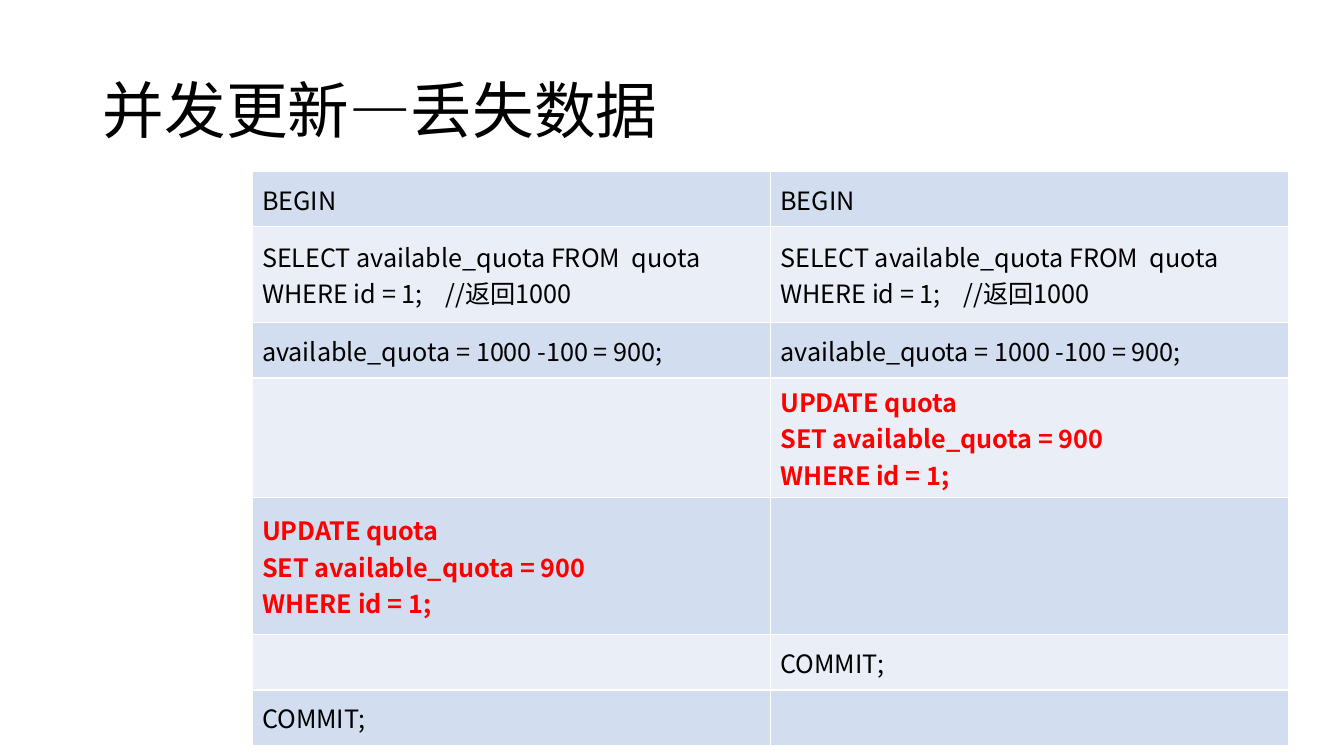
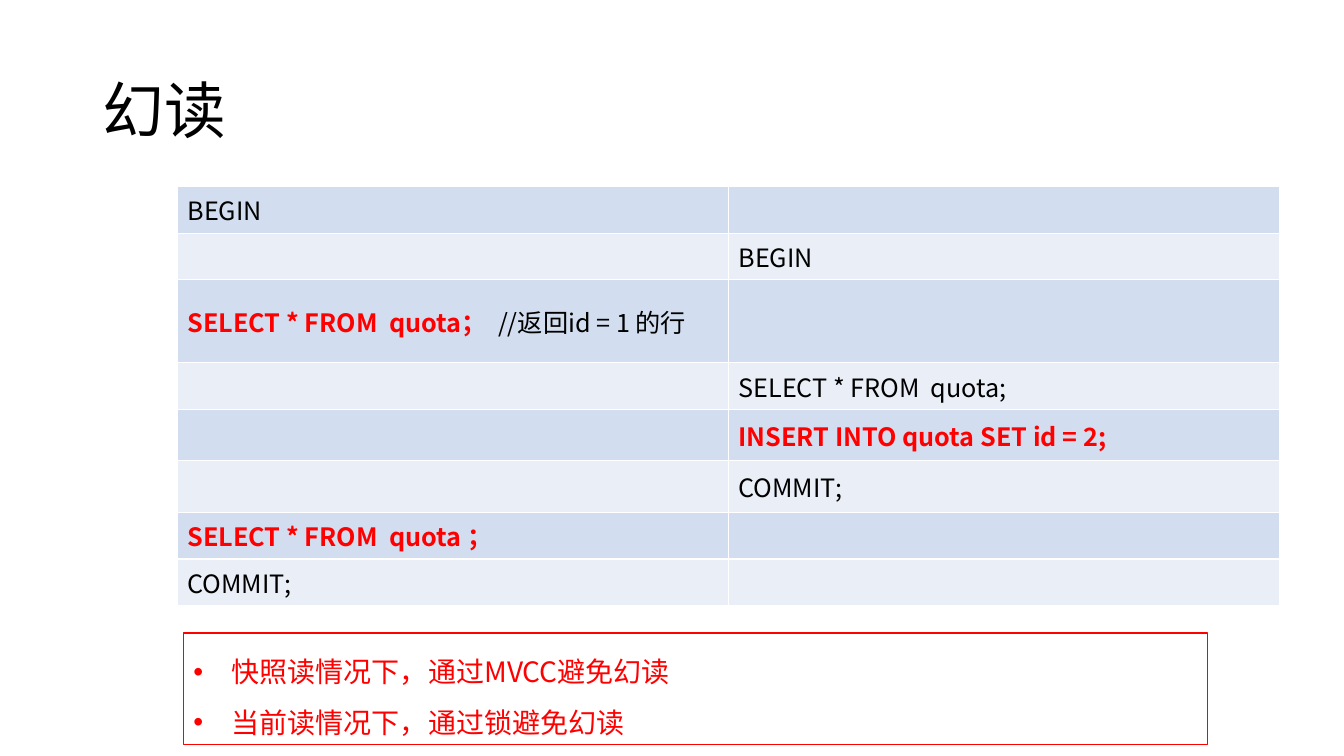
import pptx
import pptx.util
import pptx.dml.color
import pptx.enum.shapes
import pptx.enum.text
import pptx.oxml
import pptx.oxml.ns
from lxml import etree

RGBColor = pptx.dml.color.RGBColor
BLACK = RGBColor(0x00, 0x00, 0x00)
RED = RGBColor(0xFF, 0x00, 0x00)
WHITE = RGBColor(0xFF, 0xFF, 0xFF)
BANDS = (RGBColor(0xD2, 0xDE, 0xEF), RGBColor(0xEA, 0xEF, 0xF7))
FONT = "Noto Sans CJK SC"
SLIDE_WIDTH = pptx.util.Inches(13.33)
SLIDE_HEIGHT = pptx.util.Inches(7.5)
TITLE_ONLY = 5

# Boxes: left, top, width, height in percent of the slide
TITLE_BOX = (6.9, 5.33, 86.27, 19.33)
LOST_UPDATE_BOX = (18.75, 22.67, 77.12, 75.33)
PHANTOM_BOX = (13.2, 24.67, 82, 55.07)
REMEDY_BOX = (13.65, 83.73, 76.22, 14.8)


def plain(text):
    return [[(text, False)]]


def key(*lines):
    return [[(line, True)] for line in lines]


# Statements of the two sessions: row height share, left cell, right cell
BEGIN = plain("BEGIN")
COMMIT = plain("COMMIT;")
READ_QUOTA = plain("SELECT available_quota FROM  quota  WHERE id = 1;    //返回1000")
SUBTRACT = plain("available_quota = 1000 -100 = 900;")
UPDATE = key("UPDATE quota", "SET available_quota = 900", "WHERE id = 1;")
FIRST_READ = [[("SELECT * FROM  quota；  ", True), ("//返回id = 1 的行", False)]]

LOST_UPDATE_STEPS = [
    (0.55, BEGIN, BEGIN),
    (0.95, READ_QUOTA, READ_QUOTA),
    (0.55, SUBTRACT, SUBTRACT),
    (1.14, None, UPDATE),
    (1.36, UPDATE, None),
    (0.55, None, COMMIT),
    (0.55, COMMIT, None),
]
PHANTOM_STEPS = [
    (0.46, BEGIN, None),
    (0.46, None, BEGIN),
    (0.8, FIRST_READ, None),
    (0.46, None, plain("SELECT * FROM  quota;")),
    (0.51, None, key("INSERT INTO quota SET id = 2;")),
    (0.51, None, COMMIT),
    (0.46, key("SELECT * FROM  quota ；"), None),
    (0.46, COMMIT, None),
]
REMEDIES = ["快照读情况下，通过MVCC避免幻读", "当前读情况下，通过锁避免幻读"]


def to_slide(box):
    left, top, width, height = box
    return (int(SLIDE_WIDTH * left / 100), int(SLIDE_HEIGHT * top / 100),
            int(SLIDE_WIDTH * width / 100), int(SLIDE_HEIGHT * height / 100))


def style_run(run, size, color=BLACK, bold=False):
    run.font.size = pptx.util.Pt(size)
    run.font.bold = bold
    run.font.color.rgb = color
    run.font.name = FONT
    east_asian = etree.Element(pptx.oxml.ns.qn("a:ea"), typeface=FONT)
    run.font._element.find(pptx.oxml.ns.qn("a:latin")).addnext(east_asian)


def add_title(slide, text):
    title = slide.shapes.title
    title.left, title.top, title.width, title.height = to_slide(TITLE_BOX)
    frame = title.text_frame
    frame.text = text
    frame.vertical_anchor = pptx.enum.text.MSO_ANCHOR.MIDDLE
    paragraph = frame.paragraphs[0]
    paragraph.alignment = pptx.enum.text.PP_ALIGN.LEFT
    paragraph.line_spacing = 0.9
    style_run(paragraph.runs[0], 44)


def add_borders(cell):
    properties = cell._tc.get_or_add_tcPr()
    for side in ("lnL", "lnR", "lnT", "lnB"):
        properties.append(pptx.oxml.parse_xml(
            f'<a:{side} {pptx.oxml.ns.nsdecls("a")} w="12700"><a:solidFill>'
            f'<a:srgbClr val="{WHITE}"/></a:solidFill></a:{side}>'))


def fill_cell(cell, lines, band):
    add_borders(cell)
    cell.fill.solid()
    cell.fill.fore_color.rgb = band
    cell.vertical_anchor = pptx.enum.text.MSO_ANCHOR.MIDDLE
    if not lines:
        return
    frame = cell.text_frame
    for index, pieces in enumerate(lines):
        paragraph = frame.add_paragraph() if index else frame.paragraphs[0]
        for text, is_key in pieces:
            run = paragraph.add_run()
            run.text = text
            style_run(run, 18, RED if is_key else BLACK, is_key)


def add_timeline(slide, box, steps):
    left, top, width, height = to_slide(box)
    timeline = slide.shapes.add_table(len(steps), 2, left, top, width, height).table
    timeline.first_row = False
    timeline.horz_banding = False
    total = sum(share for share, *_ in steps)
    for row, (share, *sessions) in enumerate(steps):
        timeline.rows[row].height = int(height * share / total)
        for column, lines in enumerate(sessions):
            fill_cell(timeline.cell(row, column), lines, BANDS[row % 2])


def add_bullet(paragraph):
    properties = paragraph._p.get_or_add_pPr()
    indent = pptx.util.Inches(0.38)
    properties.set("marL", str(indent))
    properties.set("indent", str(-indent))
    etree.SubElement(properties, pptx.oxml.ns.qn("a:buFont"), typeface="Arial")
    etree.SubElement(properties, pptx.oxml.ns.qn("a:buChar"), char="•")


def add_remedies(slide, box, remedies):
    panel = slide.shapes.add_shape(
        pptx.enum.shapes.MSO_SHAPE.RECTANGLE, *to_slide(box))
    panel.shadow.inherit = False
    panel.fill.background()
    panel.line.color.rgb = RED
    panel.line.width = pptx.util.Pt(0.75)
    frame = panel.text_frame
    frame.word_wrap = True
    frame.auto_size = pptx.enum.text.MSO_AUTO_SIZE.SHAPE_TO_FIT_TEXT
    frame.vertical_anchor = pptx.enum.text.MSO_ANCHOR.TOP
    frame.text = "\n".join(remedies)
    for paragraph in frame.paragraphs:
        add_bullet(paragraph)
        paragraph.alignment = pptx.enum.text.PP_ALIGN.LEFT
        paragraph.line_spacing = 1.5
        style_run(paragraph.runs[0], 20, RED)


def add_session_slide(deck, title, box, steps):
    slide = deck.slides.add_slide(deck.slide_layouts[TITLE_ONLY])
    add_title(slide, title)
    add_timeline(slide, box, steps)
    return slide


def main():
    deck = pptx.Presentation()
    deck.slide_width = SLIDE_WIDTH
    deck.slide_height = SLIDE_HEIGHT
    add_session_slide(deck, "并发更新—丢失数据", LOST_UPDATE_BOX, LOST_UPDATE_STEPS)
    phantom = add_session_slide(deck, "幻读", PHANTOM_BOX, PHANTOM_STEPS)
    add_remedies(phantom, REMEDY_BOX, REMEDIES)
    deck.save("out.pptx")


if __name__ == "__main__":
    main()
